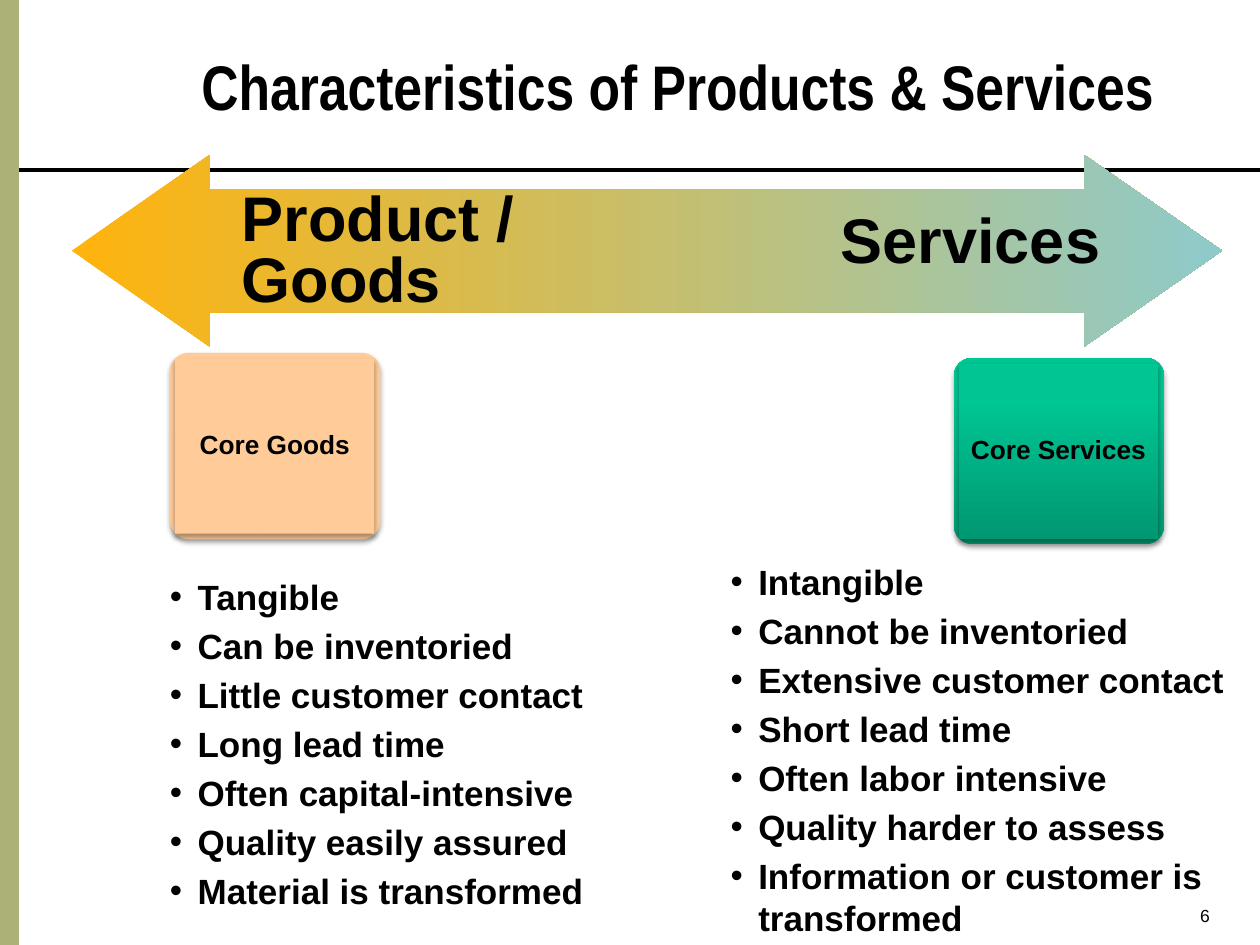
"""Builds a slide contrasting the characteristics of products and services."""
from lxml import etree
from pptx import Presentation
from pptx.dml.color import RGBColor
from pptx.enum.shapes import MSO_CONNECTOR, MSO_SHAPE
from pptx.enum.text import MSO_ANCHOR, PP_ALIGN
from pptx.oxml import parse_xml
from pptx.oxml.ns import qn
from pptx.util import Inches, Pt

LEFT, CENTER, RIGHT = PP_ALIGN.LEFT, PP_ALIGN.CENTER, PP_ALIGN.RIGHT
TOP, MIDDLE = MSO_ANCHOR.TOP, MSO_ANCHOR.MIDDLE
RECT, ROUNDED, ARROW = MSO_SHAPE.RECTANGLE, MSO_SHAPE.ROUNDED_RECTANGLE, MSO_SHAPE.LEFT_RIGHT_ARROW
STRAIGHT = MSO_CONNECTOR.STRAIGHT
DRAWING = "http://schemas.openxmlformats.org/drawingml/2006/main"
COLORS = {"ink": "000000", "band": "ACB177", "goods": "FFCC99",
          "amber": "FFB30C", "aqua": "8FCACA",
          "deep": "009872", "green": "00C694", "bright": "00C795"}

deck = Presentation()
deck.slide_width, deck.slide_height = Inches(10), Inches(7.5)
COL, ROW = deck.slide_width / 100, deck.slide_height / 75
slide = deck.slides.add_slide(deck.slide_layouts[6])
shapes = slide.shapes


def write(holder, lines, size, font="Arial", bold=True, align=LEFT, anchor=TOP,
          spacing=None, before=None, insets=(0.1, 0.05, 0.1, 0.05), bullet=False):
    frame = holder.text_frame
    frame.word_wrap = True
    frame.vertical_anchor = anchor
    frame.margin_left, frame.margin_top, frame.margin_right, frame.margin_bottom = map(Inches, insets)
    for index, line in enumerate(lines):
        paragraph = frame.paragraphs[0] if index == 0 else frame.add_paragraph()
        paragraph.alignment = align
        paragraph.line_spacing = spacing
        paragraph.space_before = before
        if bullet:
            props = paragraph._p.get_or_add_pPr()
            props.set("marL", str(Inches(0.22)))
            props.set("indent", str(-Inches(0.22)))
            etree.SubElement(props, qn("a:buFont")).set("typeface", "Arial")
            etree.SubElement(props, qn("a:buChar")).set("char", "•")
        run = paragraph.add_run()
        run.text = line
        run.font.name, run.font.size, run.font.bold = font, Pt(size), bold
        run.font.color.rgb = RGBColor.from_string(COLORS["ink"])


def add_block(kind, left, top, width, height, stops, angle=0, shadow=False):
    block = shapes.add_shape(kind, *map(int, (left * COL, top * ROW, width * COL, height * ROW)))
    block.shadow.inherit = False
    block.line.fill.background()
    if len(stops) == 1:
        block.fill.solid()
        block.fill.fore_color.rgb = RGBColor.from_string(COLORS[stops[0][1]])
    else:
        marks = "".join(f'<a:gs pos="{share * 1000}"><a:srgbClr val="{COLORS[name]}"/></a:gs>'
                        for share, name in stops)
        block._element.spPr.find(qn("a:prstGeom")).addnext(parse_xml(
            f'<a:gradFill xmlns:a="{DRAWING}" rotWithShape="1"><a:gsLst>{marks}</a:gsLst>'
            f'<a:lin ang="{angle * 60000}" scaled="0"/></a:gradFill>'))
    if shadow:
        block._element.spPr.find(qn("a:effectLst")).append(parse_xml(
            f'<a:outerShdw xmlns:a="{DRAWING}" blurRad="{Pt(3.1)}" dist="{Pt(1.8)}" dir="5400000" '
            f'rotWithShape="0"><a:srgbClr val="{COLORS["ink"]}"><a:alpha val="35000"/></a:srgbClr>'
            '</a:outerShdw>'))
    return block


rule = shapes.add_connector(STRAIGHT, 0, int(13.5 * ROW), deck.slide_width, int(13.5 * ROW))
rule.line.color.rgb = RGBColor.from_string(COLORS["ink"])
rule.line.width = Pt(2.5)
etree.SubElement(rule._element.spPr, qn("a:effectLst"))
add_block(RECT, 0, 0, 1.5, 75, [(0, "band")])

spectrum = add_block(ARROW, 5.7, 12.3, 91.3, 15.2, [(0, "amber"), (100, "aqua")])
spectrum.adjustments[0], spectrum.adjustments[1] = 0.643, 0.719

goods_traits = ["Tangible", "Can be inventoried", "Little customer contact", "Long lead time",
                "Often capital-intensive", "Quality easily assured", "Material is transformed"]
service_traits = ["Intangible", "Cannot be inventoried", "Extensive customer contact",
                  "Short lead time", "Often labor intensive", "Quality harder to assess",
                  "Information or customer is transformed"]
trait_style = {"size": 20, "before": Pt(4), "bullet": True}
end_style = {"size": 36, "anchor": MIDDLE, "spacing": 0.8, "insets": (0.1, 0.05, 0.1, 0)}
captions = [
    ((12.5, 45.2, 36.2, 27.6), goods_traits, trait_style),
    ((57, 44, 46, 31), service_traits, trait_style),
    ((18.2, 14.8, 36.8, 10.2), ["Product / Goods"], end_style),
    ((64.8, 16.6, 23.5, 5.3), ["Services"], {**end_style, "align": RIGHT}),
    ((15, 1, 82, 11.5), ["Characteristics of Products & Services"],
     {"size": 36, "font": "Arial Narrow", "anchor": MIDDLE}),
    ((73.8, 71.3, 23.2, 3), ["6"], {"size": 10, "bold": False, "align": RIGHT}),
]
for (left, top, width, height), lines, style in captions:
    caption = shapes.add_textbox(*map(int, (left * COL, top * ROW, width * COL, height * ROW)))
    write(caption, lines, **style)

cores = [("Core Goods", 13.5, 28, [(0, "goods")]),
         ("Core Services", 75.7, 28.4, [(0, "deep"), (80, "green"), (100, "bright")])]
for label, left, top, stops in cores:
    tile = add_block(ROUNDED, left, top, 16.7, 14.8, stops, 270, shadow=True)
    tile.adjustments[0] = 0.1
    face = add_block(RECT, left + 0.4, top + 0.45, 15.8, 13.9, stops, 270, shadow=True)
    write(face, [label], 15, align=CENTER, anchor=MIDDLE, spacing=0.9, insets=(0.06,) * 4)

deck.save("out.pptx")
